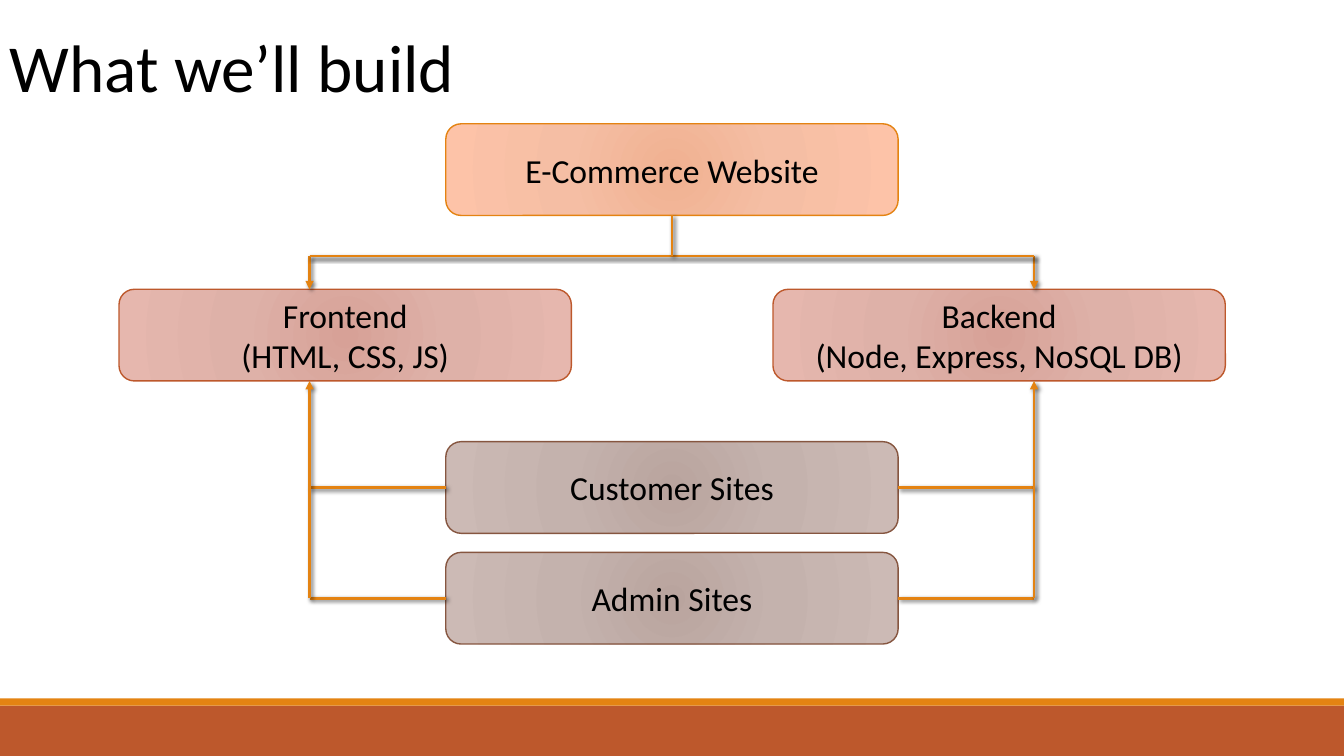
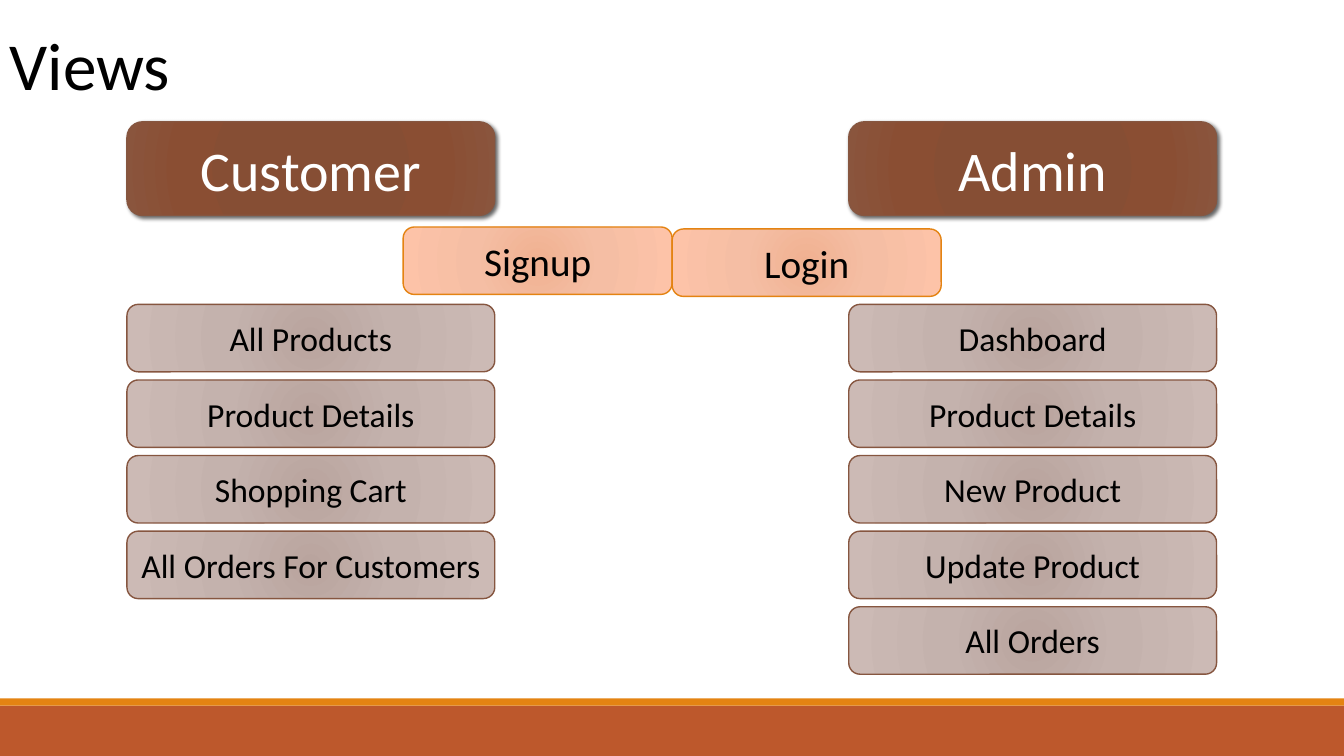
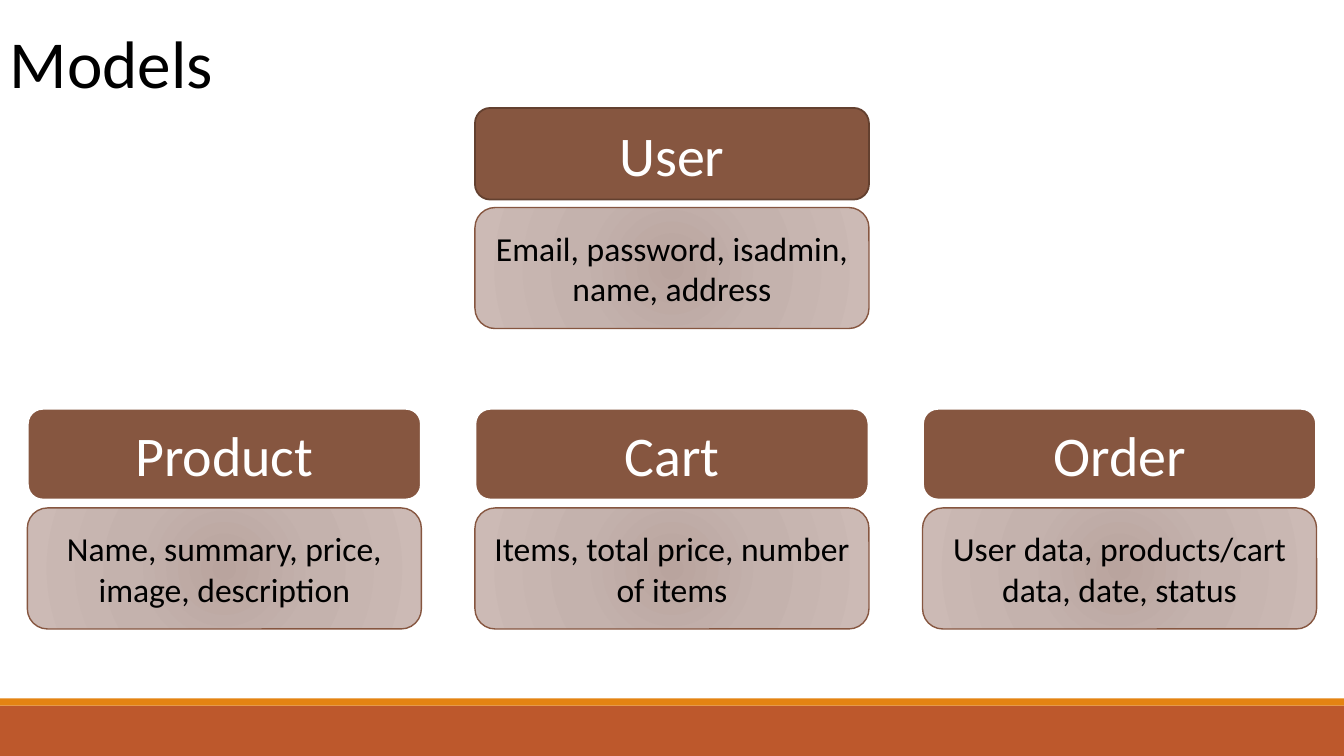
from pptx import Presentation
from pptx import util as u
from pptx.dml import color
from pptx.enum import shapes, text
from pptx.oxml import parse_xml
from pptx.oxml.ns import nsdecls, qn

WIDTH, HEIGHT = 33.87, 19.05
ORANGE, RUST, BROWN = "E48312", "BD582C", "865640"
BLACK, WHITE = "000000", "FFFFFF"
PEACH = {0: "F0B191", 45: "F5BEA4", 100: "FDC3A8"}
ROSE = {0: "D7A197", 45: "DEB1A8", 100: "E6B7AE"}
TAUPE = {0: "B9A49E", 45: "C4B2AD", 100: "CCBAB5"}
COCOA = {0: "874C32", 34: "864E34", 70: "8A4E33", 100: "8A553D"}


def rgb(value):
    return color.RGBColor.from_string(value)


def write(frame, content, size=24, ink=BLACK, align=text.PP_ALIGN.CENTER,
          anchor=text.MSO_ANCHOR.MIDDLE, font="Calibri"):
    frame.word_wrap = True
    frame.vertical_anchor = anchor
    frame.text = content
    for paragraph in frame.paragraphs:
        paragraph.alignment = align
        for run in paragraph.runs:
            run.font.name = font
            run.font.size = u.Pt(size)
            run.font.color.rgb = rgb(ink)


def radial_fill(stops):
    marks = "".join(f'<a:gs pos="{position * 1000}"><a:srgbClr val="{tone}"/></a:gs>'
                    for position, tone in stops.items())
    return parse_xml(
        f'<a:gradFill {nsdecls("a")} rotWithShape="1"><a:gsLst>{marks}</a:gsLst>'
        '<a:path path="circle"><a:fillToRect l="100000" t="100000" r="100000" b="100000"/>'
        '</a:path></a:gradFill>')


def soft_shadow():
    return parse_xml(
        f'<a:effectLst {nsdecls("a")}><a:outerShdw blurRad="38100" dist="25400" dir="2700000" '
        'algn="ctr" rotWithShape="0"><a:srgbClr val="000000"><a:alpha val="60000"/></a:srgbClr>'
        '</a:outerShdw></a:effectLst>')


class Deck:
    def __init__(self):
        self.show = Presentation()
        self.show.slide_width, self.show.slide_height = u.Cm(WIDTH), u.Cm(HEIGHT)
        self.slide = None

    def page(self, title, top, width):
        self.slide = self.show.slides.add_slide(self.show.slide_layouts[6])
        self.band(17.78, 1.27, RUST)
        self.band(17.6, 0.18, ORANGE)
        heading = self.slide.shapes.add_textbox(u.Cm(0), u.Cm(top), u.Cm(width), u.Cm(2.31))
        write(heading.text_frame, title, size=48, align=text.PP_ALIGN.LEFT,
              anchor=text.MSO_ANCHOR.TOP)

    def block(self, preset, left, top, width, height):
        block = self.slide.shapes.add_shape(
            preset, u.Cm(left), u.Cm(top), u.Cm(width), u.Cm(height))
        block.shadow.inherit = False
        return block

    def band(self, top, height, fill):
        band = self.block(shapes.MSO_SHAPE.RECTANGLE, 0, top, WIDTH, height)
        band.fill.solid()
        band.fill.fore_color.rgb = rgb(fill)
        band.line.fill.background()

    def card(self, content, left, top, width, height, fill=TAUPE, edge=BROWN, weight=1,
             shadow=False, **style):
        card = self.block(shapes.MSO_SHAPE.ROUNDED_RECTANGLE, left, top, width, height)
        properties = card._element.spPr
        if isinstance(fill, dict):
            card.fill.background()
            properties.replace(properties.find(qn("a:noFill")), radial_fill(fill))
        else:
            card.fill.solid()
            card.fill.fore_color.rgb = rgb(fill)
        card.line.color.rgb = rgb(edge)
        card.line.width = u.Pt(weight)
        if shadow:
            properties.replace(properties.find(qn("a:effectLst")), soft_shadow())
        write(card.text_frame, content, **style)
        return card

    def link(self, start, end, source=None, side=0, arrow=False):
        link = self.slide.shapes.add_connector(
            shapes.MSO_CONNECTOR.STRAIGHT, *(u.Cm(value) for value in (*start, *end)))
        link.line.color.rgb = rgb(ORANGE)
        link.line.width = u.Pt(2)
        if arrow:
            link.line._get_or_add_ln().append(
                parse_xml(f'<a:tailEnd {nsdecls("a")} type="triangle"/>'))
        link._element.spPr.append(soft_shadow())
        if source is not None:
            link.begin_connect(source, side)


def build_architecture(deck):
    deck.page("What we’ll build", 0.51, 14.7)
    width, height = 11.4, 2.31
    middle = WIDTH / 2
    center_left = middle - width / 2
    tier_top, fork = 7.29, 6.45
    left_rail, right_rail = 7.8, 26.06

    website = deck.card("E-Commerce Website", center_left, 3.12, width, height, PEACH, ORANGE)
    deck.card("Frontend\n(HTML, CSS, JS)", 3, tier_top, width, height, ROSE, RUST)
    deck.card("Backend\n(Node, Express, NoSQL DB)", 19.48, tier_top, width, height, ROSE, RUST)

    for name, top in (("Customer Sites", 11.13), ("Admin Sites", 13.92)):
        site = deck.card(name, center_left, top, width, height)
        axis = top + height / 2
        deck.link((center_left, axis), (left_rail, axis), site, 1)
        deck.link((center_left + width, axis), (right_rail, axis), site, 3)

    for rail in (left_rail, right_rail):
        deck.link((rail, axis), (rail, tier_top + height), arrow=True)
        deck.link((rail, fork), (rail, tier_top), arrow=True)
    deck.link((left_rail, fork), (right_rail, fork))
    deck.link((middle, 3.12 + height), (middle, fork), website, 2)


def build_views(deck):
    deck.page("Views", 0.46, 9.7)
    width, height, pitch = 9.27, 1.7, 1.905
    columns = (
        ("Customer", 3.2, ("All Products", "Product Details", "Shopping Cart",
                           "All Orders For Customers")),
        ("Admin", 21.39, ("Dashboard", "Product Details", "New Product", "Update Product",
                          "All Orders")),
    )
    for role, left, views in columns:
        deck.card(role, left, 3.07, width, 2.36, COCOA, shadow=True, size=40, ink=WHITE)
        for row, view in enumerate(views):
            deck.card(view, left, 7.67 + row * pitch, width, height)
    for entry, left, top in (("Signup", 10.16, 5.72), ("Login", 16.94, 5.77)):
        deck.card(entry, left, top, 6.78, height, PEACH, ORANGE, size=28)


def build_models(deck):
    deck.page("Models", 0.41, 9.37)
    width, pitch = 9.93, 11.28
    models = (
        ("User", "Email, password, isadmin, name, address", 1, 2.72, "63402F", 1.25),
        ("Product", "Name, summary, price, image, description", 0, 10.29, WHITE, 2),
        ("Cart", "Items, total price, number of items", 1, 10.29, WHITE, 2),
        ("Order", "User data, products/cart data, date, status", 2, 10.29, WHITE, 2),
    )
    for model, fields, column, top, edge, weight in models:
        left = 0.69 + column * pitch
        deck.card(model, left, top, width, 2.31, BROWN, edge, weight, size=40, ink=WHITE)
        deck.card(fields, left, top + 2.51, width, 3.05)


def main():
    deck = Deck()
    build_architecture(deck)
    build_views(deck)
    build_models(deck)
    deck.show.save("out.pptx")


if __name__ == "__main__":
    main()
